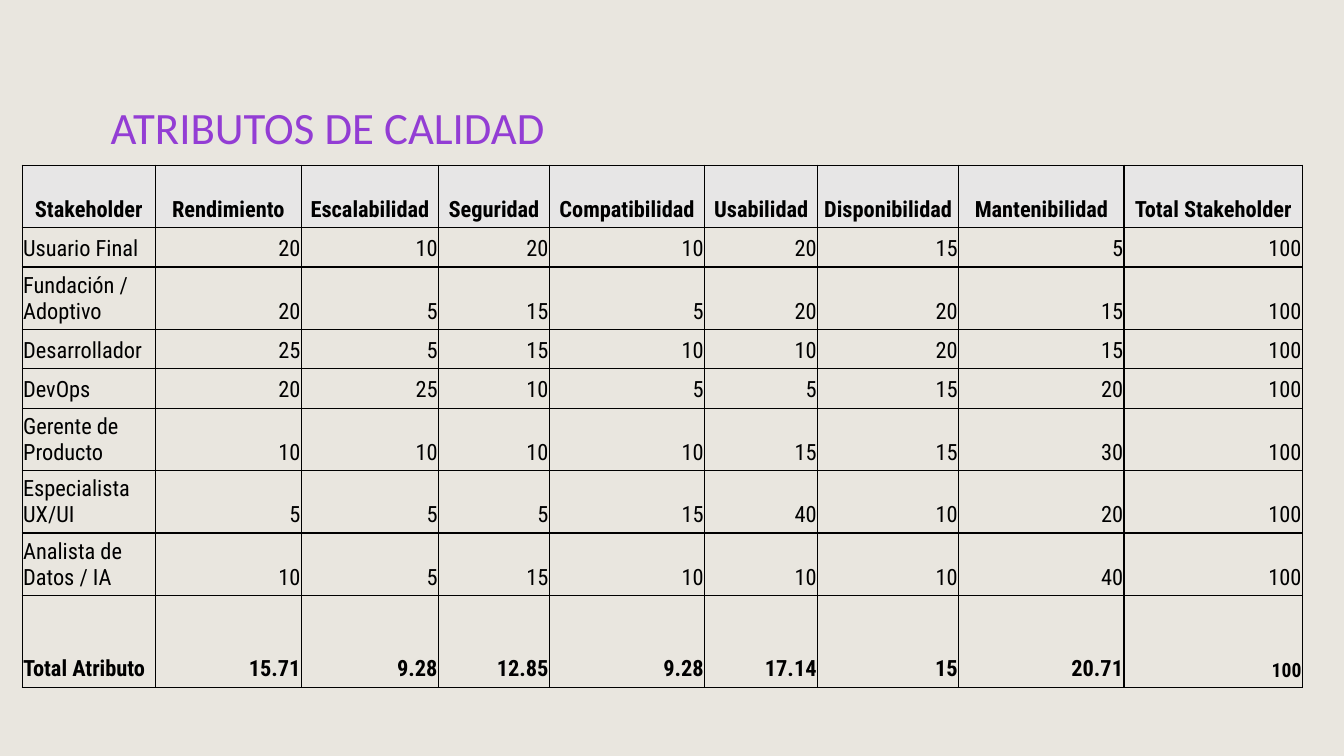
from lxml.etree import SubElement
from pptx import Presentation
from pptx.dml.color import RGBColor
from pptx.enum.text import MSO_ANCHOR, PP_ALIGN
from pptx.oxml.ns import qn
from pptx.util import Inches, Pt

BACKGROUND = RGBColor(0xE9, 0xE6, 0xDF)
PURPLE = RGBColor(0x93, 0x3D, 0xD4)
HEADER_GRAY = RGBColor(0xE7, 0xE6, 0xE6)
BLACK = RGBColor(0, 0, 0)

COLUMN_WIDTHS = [1.32, 1.45, 1.36, 1.1, 1.54, 1.12, 1.4, 1.64, 1.77]
ROW_HEIGHTS = [0.62, 0.39, 0.62, 0.39, 0.39, 0.62, 0.62, 0.62, 0.91]
SCORES = [
    ["Stakeholder", "Rendimiento", "Escalabilidad", "Seguridad", "Compatibilidad",
     "Usabilidad", "Disponibilidad", "Mantenibilidad", "Total Stakeholder"],
    ["Usuario Final", 20, 10, 20, 10, 20, 15, 5, 100],
    ["Fundación / Adoptivo", 20, 5, 15, 5, 20, 20, 15, 100],
    ["Desarrollador", 25, 5, 15, 10, 10, 20, 15, 100],
    ["DevOps", 20, 25, 10, 5, 5, 15, 20, 100],
    ["Gerente de Producto", 10, 10, 10, 10, 15, 15, 30, 100],
    ["Especialista UX/UI", 5, 5, 5, 15, 40, 10, 20, 100],
    ["Analista de Datos / IA", 10, 5, 15, 10, 10, 10, 40, 100],
    ["Total Atributo", 15.71, 9.28, 12.85, 9.28, 17.14, 15, 20.71, 100],
]


class SlideBuilder:
    title_font = "Calibri"
    table_font = "Roboto Condensed"

    def __init__(self, prs):
        self.s = prs.slides.add_slide(prs.slide_layouts[6])
        fill = self.s.background.fill
        fill.solid()
        fill.fore_color.rgb = BACKGROUND

    def run(self, p, text, font, size, color, bold=False):
        r = p.add_run()
        r.text = text
        r.font.name = font
        r.font.size = Pt(size)
        r.font.bold = bold
        r.font.color.rgb = color

    def title(self, text, left, top, width, height):
        sp = self.s.shapes.add_textbox(Inches(left), Inches(top), Inches(width), Inches(height))
        tf = sp.text_frame
        tf.word_wrap = True
        tf.vertical_anchor = MSO_ANCHOR.MIDDLE
        p = tf.paragraphs[0]
        p.line_spacing = 0.9
        self.run(p, text, self.title_font, 32, PURPLE)

    def borders(self, cell):
        tcPr = cell._tc.get_or_add_tcPr()
        for side in ("a:lnL", "a:lnR", "a:lnT", "a:lnB"):
            line = SubElement(tcPr, qn(side), w=str(Pt(1)))
            fill = SubElement(line, qn("a:solidFill"))
            SubElement(fill, qn("a:srgbClr"), val=str(BLACK))

    def cell(self, cell, value, align, size, bold, fill):
        cell.margin_left = cell.margin_top = cell.margin_right = Inches(0.01)
        cell.margin_bottom = Inches(0.05)
        cell.vertical_anchor = MSO_ANCHOR.BOTTOM
        self.borders(cell)
        if fill is None:
            cell.fill.background()
        else:
            cell.fill.solid()
            cell.fill.fore_color.rgb = fill
        p = cell.text_frame.paragraphs[0]
        p.alignment = align
        self.run(p, str(value), self.table_font, size, BLACK, bold)

    def table(self, rows, left, top, widths, heights):
        frame = self.s.shapes.add_table(len(rows), len(widths), Inches(left), Inches(top),
                                        Inches(sum(widths)), Inches(sum(heights)))
        table = frame.table
        table.first_row = table.horz_banding = False
        for column, width in zip(table.columns, widths):
            column.width = Inches(width)
        for row, height in zip(table.rows, heights):
            row.height = Inches(height)

        last_row, last_col = len(rows) - 1, len(widths) - 1
        for i, row in enumerate(rows):
            for j, value in enumerate(row):
                if i == 0:
                    align = PP_ALIGN.CENTER
                else:
                    align = PP_ALIGN.LEFT if j == 0 else PP_ALIGN.RIGHT
                # The grand total is slightly smaller
                size = 14 if (i, j) == (last_row, last_col) else 16
                self.cell(table.cell(i, j), value, align, size, bold=i in (0, last_row),
                          fill=HEADER_GRAY if i == 0 else None)


def main():
    prs = Presentation()
    prs.slide_width = Inches(13.33)
    prs.slide_height = Inches(7.5)
    slide = SlideBuilder(prs)

    # Heading
    slide.title("ATRIBUTOS DE CALIDAD", 1, 0.4, 11.33, 1.78)

    # Score of each attribute by stakeholder
    slide.table(SCORES, 0.22, 1.64, COLUMN_WIDTHS, ROW_HEIGHTS)

    prs.save("out.pptx")


if __name__ == "__main__":
    main()
